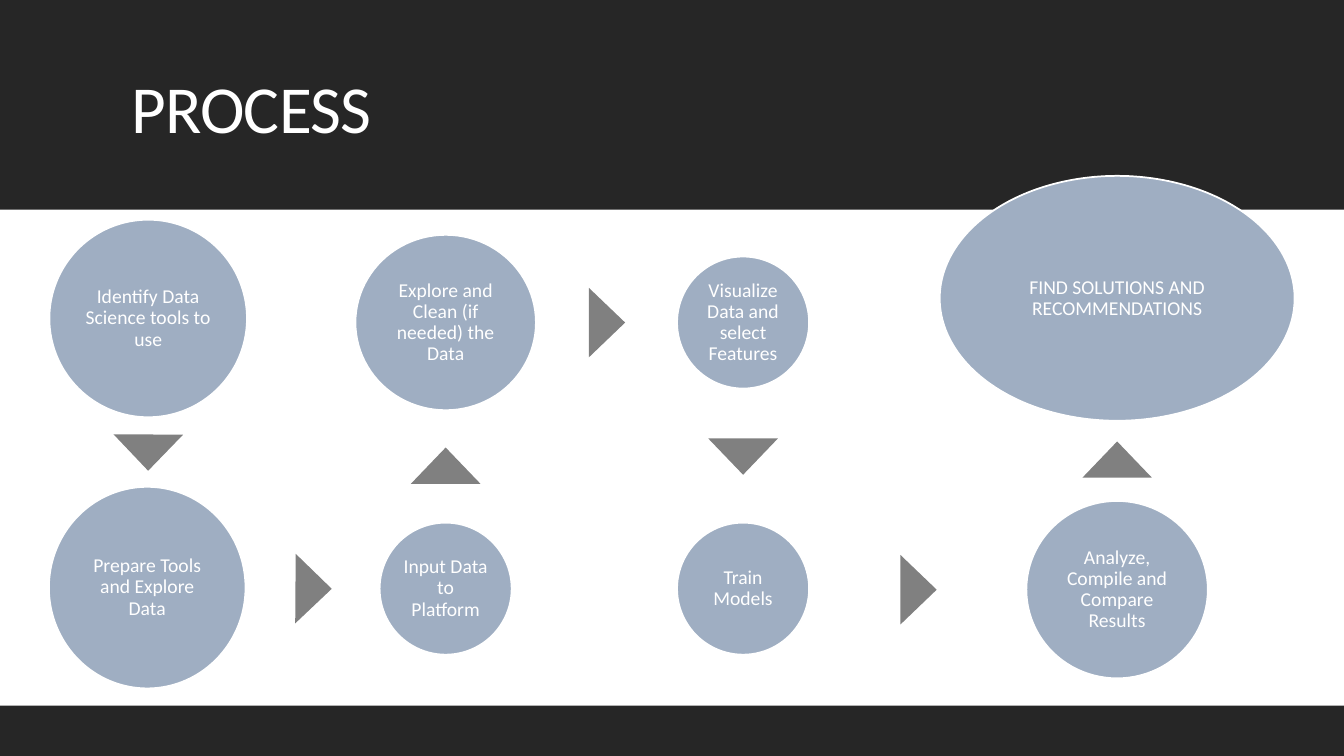
"""Build the process slide: eight steps in circles joined by triangles."""
from pptx import Presentation
from pptx.dml.color import RGBColor
from pptx.enum.shapes import MSO_SHAPE
from pptx.enum.text import MSO_ANCHOR, MSO_AUTO_SIZE, PP_ALIGN
from pptx.util import Inches, Pt

WHITE = RGBColor(0xFF, 0xFF, 0xFF)
DARK = RGBColor(0x26, 0x26, 0x26)
BLUE = RGBColor(0x9F, 0xAE, 0xC2)
GRAY = RGBColor(0x80, 0x80, 0x80)

COLS = (1.47, 4.42, 7.37, 11.08)
HIGH, LOW = 3.2, 5.84
STEPS = [
    ("Identify Data Science tools to use", COLS[0], 3.16, 1.96, 1.96),
    ("Prepare Tools and Explore Data", COLS[0] - 0.01, 5.83, 1.95, 2),
    ("Input Data to Platform", COLS[1], LOW, 1.31, 1.31),
    ("Explore and Clean (if needed) the Data", COLS[1], HIGH, 1.79, 1.74),
    ("Visualize Data and select Features", COLS[2], HIGH, 1.31, 1.31),
    ("Train Models", COLS[2], LOW, 1.31, 1.31),
    ("Analyze, Compile and Compare Results", COLS[3], LOW + 0.01, 1.8, 1.76),
    ("FIND SOLUTIONS AND RECOMMENDATIONS", COLS[3], 2.96, 3.52, 2.43),
]
ARROWS = [
    (COLS[0], 4.49, 180.3),
    (3.11, LOW, 90.4),
    (COLS[1], 4.62, 0),
    (6.02, HIGH, 90),
    (COLS[2], 4.53, 180),
    (9.11, LOW + 0.01, 90),
    (COLS[3], 4.56, 0),
]


def add_form(kind, mid_x, mid_y, width, height, color):
    form = slide.shapes.add_shape(
        kind, Inches(mid_x - width / 2), Inches(mid_y - height / 2),
        Inches(width), Inches(height))
    form.shadow.inherit = False
    form.fill.solid()
    form.fill.fore_color.rgb = color
    form.line.fill.background()
    return form


def set_text(frame, text, size, align):
    frame.text = text
    frame.word_wrap = True
    frame.auto_size = MSO_AUTO_SIZE.NONE
    frame.vertical_anchor = MSO_ANCHOR.MIDDLE
    para = frame.paragraphs[0]
    para.alignment = align
    para.line_spacing = 0.9
    font = para.runs[0].font
    font.name = "Calibri"
    font.size = Pt(size)
    font.color.rgb = WHITE


deck = Presentation()
deck.slide_width, deck.slide_height = Inches(13.33), Inches(7.5)
slide = deck.slides.add_slide(deck.slide_layouts[5])
slide.background.fill.solid()
slide.background.fill.fore_color.rgb = WHITE

for top, height in ((0, 2.08), (7, 0.5)):
    add_form(MSO_SHAPE.RECTANGLE, 13.33 / 2, top + height / 2, 13.33, height, DARK)

title = slide.shapes.title
title.left, title.top = Inches(1.2), Inches(0.31)
title.width, title.height = Inches(11), Inches(1.59)
set_text(title.text_frame, "PROCESS", 48, PP_ALIGN.LEFT)
for props in title.element.xpath(".//a:rPr"):
    props.set("spc", "-50")
slide.shapes.element.append(title.element)

for text, mid_x, mid_y, width, height in STEPS:
    step = add_form(MSO_SHAPE.OVAL, mid_x, mid_y, width, height, BLUE)
    step.line.color.rgb = WHITE
    step.line.width = Pt(1.25)
    frame = step.text_frame
    frame.margin_left = frame.margin_right = Inches(0.02)
    frame.margin_top = frame.margin_bottom = Inches(0.02)
    set_text(frame, text, 14, PP_ALIGN.CENTER)
    frame.paragraphs[0].space_after = Pt(4.9)

for mid_x, mid_y, turn in ARROWS:
    arrow = add_form(MSO_SHAPE.ISOSCELES_TRIANGLE, mid_x, mid_y, 0.69, 0.36, GRAY)
    arrow.rotation = turn

deck.save("out.pptx")
